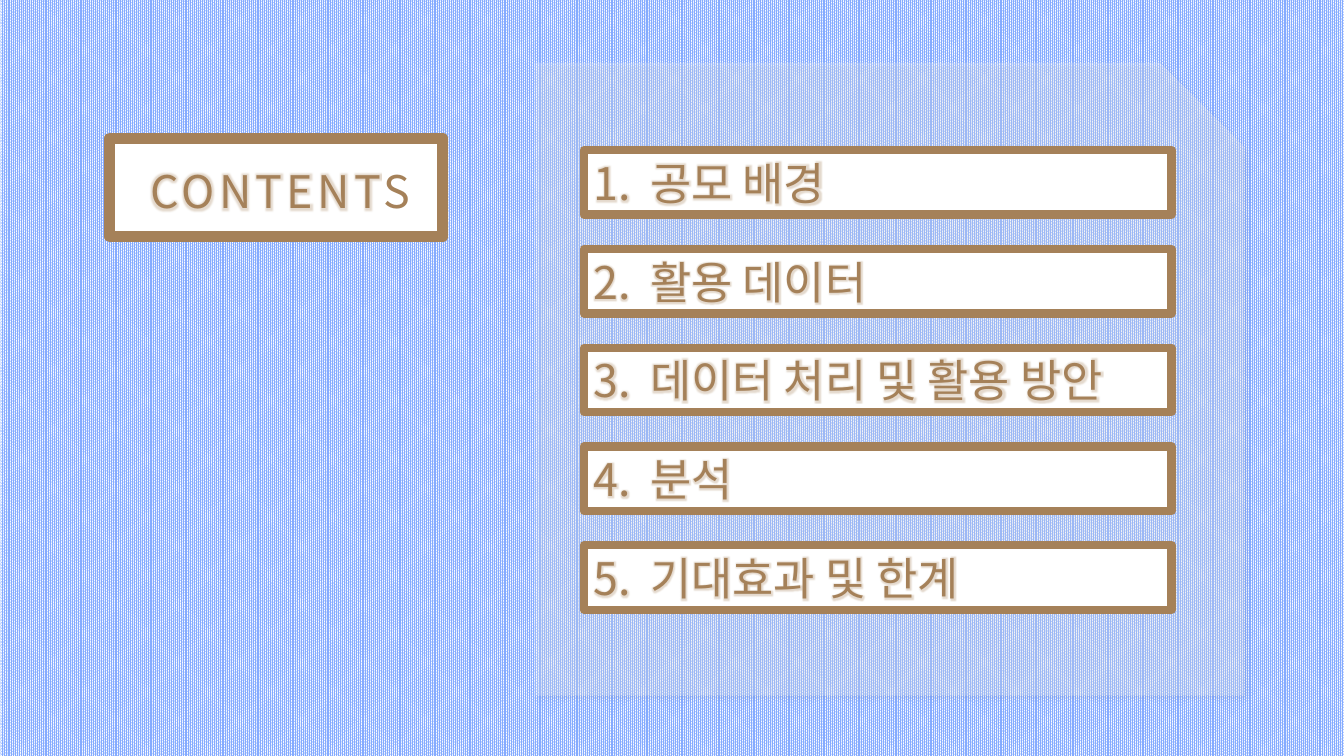
"""Builds a contents slide with a framed heading and five framed entries."""
from dataclasses import dataclass

from lxml.etree import SubElement
from pptx import Presentation
from pptx.dml.color import RGBColor
from pptx.enum.dml import MSO_PATTERN
from pptx.enum.shapes import MSO_SHAPE
from pptx.enum.text import MSO_ANCHOR, MSO_AUTO_SIZE, PP_ALIGN
from pptx.oxml import parse_xml
from pptx.oxml.ns import nsdecls, qn
from pptx.util import Inches, Pt


@dataclass(frozen=True)
class Theme:
    sky: str = "85ABFF"
    white: str = "FFFFFF"
    brown: str = "A58159"
    black: str = "000000"
    font: str = "Noto Sans CJK KR"
    text_size: int = 32
    heading_line: int = 8
    entry_line: int = 6


theme = Theme()


def add_box(slide, kind, left, top, width, height, line_width=0):
    box = slide.shapes.add_shape(kind, Inches(left), Inches(top), Inches(width), Inches(height))
    box.shadow.inherit = False
    box.fill.solid()
    box.fill.fore_color.rgb = RGBColor.from_string(theme.white)
    if line_width:
        box.line.color.rgb = RGBColor.from_string(theme.brown)
        box.line.width = Pt(line_width)
    else:
        box.line.fill.background()
    return box


def write_line(shape, text, alignment):
    frame = shape.text_frame
    frame.auto_size = MSO_AUTO_SIZE.NONE
    frame.word_wrap = True
    frame.vertical_anchor = MSO_ANCHOR.MIDDLE
    frame.margin_top = frame.margin_bottom = 0
    paragraph = frame.paragraphs[0]
    paragraph.alignment = alignment
    paragraph.line_spacing = 1.0
    run = paragraph.add_run()
    run.text = text
    run.font.size = Pt(theme.text_size)
    run.font.name = theme.font
    run.font.color.rgb = RGBColor.from_string(theme.brown)
    properties = run.font._element
    properties.find(qn("a:latin")).addprevious(parse_xml(
        f'<a:effectLst {nsdecls("a")}><a:glow rad="63500"><a:srgbClr val="{theme.brown}">'
        '<a:alpha val="30000"/></a:srgbClr></a:glow></a:effectLst>'))
    SubElement(properties, qn("a:ea"), typeface=theme.font)
    return paragraph


presentation = Presentation()
presentation.slide_width = Inches(13.33)
presentation.slide_height = Inches(7.5)
slide = presentation.slides.add_slide(presentation.slide_layouts[5])

background = slide.background.fill
background.patterned()
background.pattern = MSO_PATTERN.PERCENT_90
background.fore_color.rgb = RGBColor.from_string(theme.sky)
background.back_color.rgb = RGBColor.from_string(theme.white)

panel = add_box(slide, MSO_SHAPE.SNIP_1_RECTANGLE, 5.31, 0.62, 7.03, 6.28)
panel.adjustments[0] = 0.133
panel_properties = panel.element.spPr
panel_color = panel_properties.find(qn("a:solidFill")).find(qn("a:srgbClr"))
SubElement(panel_color, qn("a:alpha"), val="24000")
panel_properties.find(qn("a:effectLst")).append(parse_xml(
    f'<a:outerShdw {nsdecls("a")} blurRad="38100" dist="38100" dir="2700000" algn="tl" '
    f'rotWithShape="0"><a:srgbClr val="{theme.black}"><a:alpha val="22000"/></a:srgbClr>'
    '</a:outerShdw>'))

heading_frame = add_box(slide, MSO_SHAPE.RECTANGLE, 1.09, 1.37, 3.3, 0.98, theme.heading_line)

title = slide.shapes.title
title.left, title.top = Inches(0.92), Inches(1.57)
title.width, title.height = Inches(3.72), Inches(0.64)
heading = write_line(title, "CONTENTS", PP_ALIGN.CENTER)
heading.runs[0].font._element.set("spc", "300")
heading_frame.element.addnext(title.element)

entries = ["공모 배경", "활용 데이터", "데이터 처리 및 활용 방안", "분석", "기대효과 및 한계"]
entry_top, entry_pitch = 1.49, 0.98
number_indent = Inches(0.56)
for index, entry in enumerate(entries):
    box = add_box(slide, MSO_SHAPE.RECTANGLE, 5.79, entry_top + index * entry_pitch,
                  5.83, 0.64, theme.entry_line)
    paragraph = write_line(box, f"{index + 1}.\t{entry}", PP_ALIGN.LEFT)
    paragraph_properties = paragraph._p.get_or_add_pPr()
    paragraph_properties.set("marL", str(number_indent))
    paragraph_properties.set("indent", str(-number_indent))

presentation.save("out.pptx")
